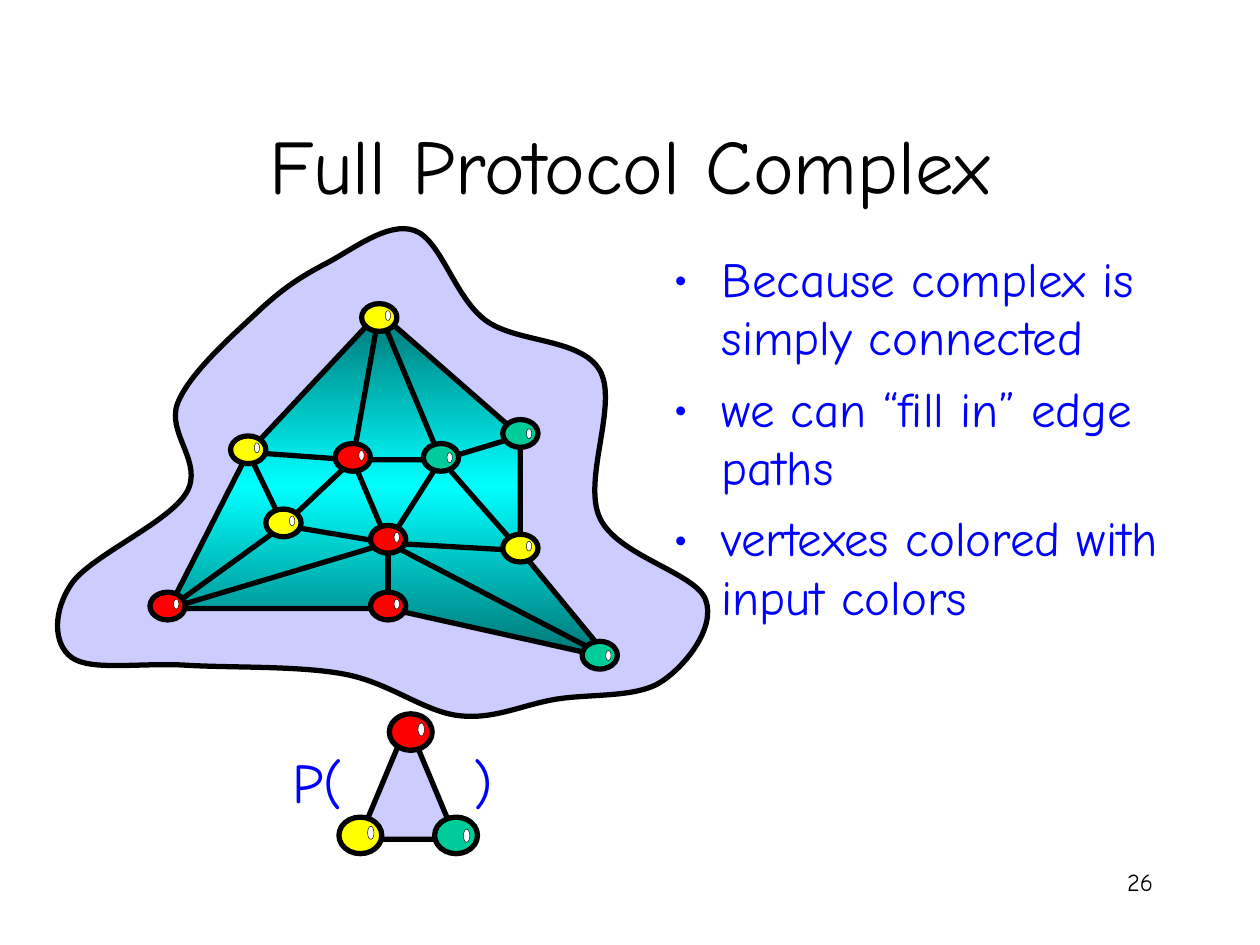
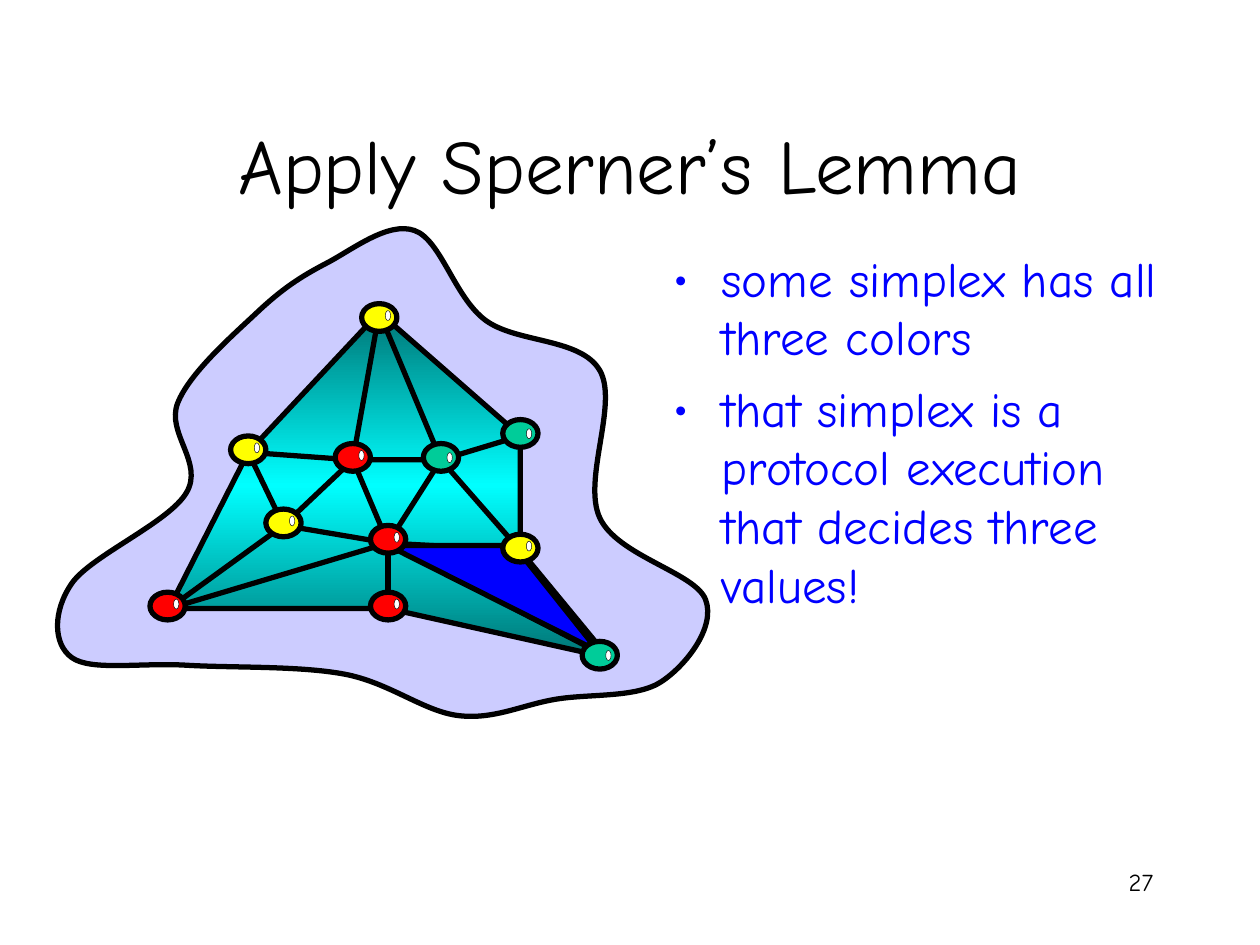
import copy

import lxml.etree
import pptx
import pptx.dml.color
import pptx.enum.shapes
import pptx.enum.text
import pptx.oxml.ns
import pptx.util

Inches = pptx.util.Inches
Pt = pptx.util.Pt
ALIGN = pptx.enum.text.PP_ALIGN
ANCHOR = pptx.enum.text.MSO_ANCHOR
SHAPE = pptx.enum.shapes.MSO_SHAPE
qn = pptx.oxml.ns.qn

FONT = "Comic Neue"
COLORS = {
    "black": "000000", "white": "FFFFFF", "blue": "0000FF",
    "lavender": "CCCCFF", "teal": "007575", "cyan": "00FFFF",
    "red": "FF0000", "yellow": "FFFF00", "green": "00CC99",
}

SLIDES = [
    {
        "title": "Full Protocol Complex",
        "points": [
            "Because complex is simply connected",
            "we can “fill in” edge paths",
            "vertexes colored with input colors",
        ],
        "number": "26",
        "input_simplex": True,
    },
    {
        "title": "Apply Sperner’s Lemma",
        "points": [
            "some simplex has all three colors",
            "that simplex is a protocol execution that decides three values!",
        ],
        "number": "27",
        "three_colored": [(3.08, 4.33), (4.75, 5.17), (4.08, 4.33)],
    },
]

# Knots of the closed smooth outline around the complex
CLOUD = [
    (2.59, 2.09), (2.04, 2.48), (1.41, 3.2), (1.48, 3.91), (0.57, 4.63),
    (0.57, 5.22), (1.48, 5.28), (2.73, 5.35), (3.64, 5.68), (4.41, 5.55),
    (5.25, 5.41), (5.6, 4.76), (4.76, 4.11), (4.76, 2.94), (3.85, 2.54),
    (3.29, 1.83),
]

# Vertex: where its edges meet, centre of its bead, colour
VERTICES = {
    "left inner": ((2.8, 3.65), (2.8, 3.63), "red"),
    "right inner": ((3.5, 3.65), (3.5, 3.63), "green"),
    "low inner": ((2.25, 4.17), (2.25, 4.15), "yellow"),
    "left": ((1.97, 3.59), (1.97, 3.57), "yellow"),
    "right": ((4.13, 3.46), (4.13, 3.44), "green"),
    "bottom": ((3.08, 4.83), (3.08, 4.81), "red"),
    "top": ((3.01, 2.48), (3.01, 2.52), "yellow"),
    "left foot": ((1.34, 4.83), (1.33, 4.81), "red"),
    "right foot": ((4.83, 5.22), (4.76, 5.2), "green"),
    "low right": ((4.13, 4.37), (4.13, 4.35), "yellow"),
    "center": ((3.08, 4.31), (3.08, 4.28), "red"),
}
RIM = ["left foot", "bottom", "right foot", "low right", "right", "top", "left"]
INNER_TRIANGLE = ["left inner", "center", "right inner"]
INNER_EDGES = {
    "left foot": ["low inner", "center"],
    "low inner": ["left", "left inner", "center"],
    "left inner": ["left", "top"],
    "right inner": ["right", "low right", "top"],
    "center": ["bottom", "right foot", "low right"],
}
INPUT_BEADS = [((3.26, 5.81), "red"), ((2.86, 6.63), "yellow"), ((3.62, 6.63), "green")]


def rgb(name):
    return pptx.dml.color.RGBColor.from_string(COLORS[name])


def style(shape, fill=None, line_width=3):
    shape.shadow.inherit = False
    if fill:
        shape.fill.solid()
        shape.fill.fore_color.rgb = rgb(fill)
    else:
        shape.fill.background()
    shape.line.color.rgb = rgb("black")
    shape.line.width = Pt(line_width)
    return shape


def add_text(shapes, box, paragraphs, size, color="black", align=ALIGN.LEFT,
             anchor=ANCHOR.TOP, bullet=None, tab=None):
    frame = shapes.add_textbox(*map(Inches, box)).text_frame
    frame.word_wrap = True
    frame.vertical_anchor = anchor
    for index, wording in enumerate(paragraphs):
        paragraph = frame.paragraphs[0] if index == 0 else frame.add_paragraph()
        paragraph.alignment = align
        properties = paragraph._p.get_or_add_pPr()
        if bullet:
            properties.set("marL", str(Inches(0.38)))
            properties.set("indent", str(-Inches(0.38)))
            lxml.etree.SubElement(properties, qn("a:buFont"), typeface=FONT)
            lxml.etree.SubElement(properties, qn("a:buChar"), char=bullet)
        if tab:
            stops = lxml.etree.SubElement(properties, qn("a:tabLst"))
            lxml.etree.SubElement(stops, qn("a:tab"), pos=str(Inches(tab)), algn="l")
        if index:
            paragraph.space_before = Pt(7)
        run = paragraph.add_run()
        run.text = wording
        run.font.name = FONT
        run.font.size = Pt(size)
        run.font.color.rgb = rgb(color)


def add_outline(shapes, points, fill=None):
    corners = [tuple(map(Inches, point)) for point in points]
    builder = shapes.build_freeform(*corners[0])
    builder.add_line_segments(corners[1:], close=True)
    return style(builder.convert_to_shape(), fill)


def add_smooth_outline(shapes, knots, fill):
    """Closed curve whose tangent at each knot is parallel to its neighbours' chord."""
    points = [knots[0]]
    for i, start in enumerate(knots):
        before = knots[i - 1]
        end, after = (knots[(i + step) % len(knots)] for step in (1, 2))
        points.append(tuple(s + (e - b) / 6 for b, s, e in zip(before, start, end)))
        points.append(tuple(e - (a - s) / 6 for s, e, a in zip(start, end, after)))
        points.append(end)
    outline = add_outline(shapes, points, fill)
    segments = list(outline._element.iter(qn("a:lnTo")))
    for first in range(0, 3 * len(knots), 3):
        curve = lxml.etree.Element(qn("a:cubicBezTo"))
        segments[first].addprevious(curve)
        for segment in segments[first:first + 3]:
            curve.append(segment[0])
    for segment in segments:
        segment.getparent().remove(segment)


def add_edge(shapes, start, end):
    edge = shapes.add_connector(pptx.enum.shapes.MSO_CONNECTOR.STRAIGHT,
                                *map(Inches, start + end))
    edge.line.color.rgb = rgb("black")
    edge.line.width = Pt(3)
    lxml.etree.SubElement(edge._element.spPr, qn("a:effectLst"))


def add_bead(shapes, center, color, width=0.28, height=0.22):
    """A coloured vertex with a small white glint, as one group."""
    parts = shapes.add_group_shape().shapes
    left, top = center[0] - width / 2, center[1] - height / 2
    glint_drop = 0.33 if color == "green" else 0.25
    glint = (left + 0.67 * width, top + glint_drop * height, 0.15 * width, 0.36 * height)
    style(parts.add_shape(SHAPE.OVAL, *map(Inches, (left, top, width, height))), color)
    style(parts.add_shape(SHAPE.OVAL, *map(Inches, glint)), "white", 0.25)


def fill_with_gradient(shape, colors):
    shape.fill.gradient()
    shape.fill.gradient_angle = 90
    stop_list = shape._element.spPr.find(".//" + qn("a:gsLst"))
    stop_list.append(copy.deepcopy(stop_list[0]))
    for index, (stop, color) in enumerate(zip(shape.fill.gradient_stops, colors)):
        stop.position = index / (len(colors) - 1)
        stop.color.rgb = rgb(color)


def add_complex(shapes, three_colored=None):
    add_smooth_outline(shapes, CLOUD, "lavender")
    surface = add_outline(shapes, [VERTICES[name][0] for name in RIM])
    fill_with_gradient(surface, ["teal", "cyan", "teal"])
    add_outline(shapes, [VERTICES[name][0] for name in INNER_TRIANGLE])
    for start, ends in INNER_EDGES.items():
        for end in ends:
            add_edge(shapes, VERTICES[start][0], VERTICES[end][0])
    if three_colored:
        add_outline(shapes, three_colored, "blue")
    for _, center, color in VERTICES.values():
        add_bead(shapes, center, color)


def add_input_simplex(shapes):
    add_text(shapes, (2.22, 5.88, 1.94, 0.64), ["P(\t)"], 32, color="blue",
             anchor=ANCHOR.MIDDLE, tab=1.44)
    triangle = map(Inches, (2.85, 5.74, 0.77, 0.92))
    style(shapes.add_shape(SHAPE.ISOSCELES_TRIANGLE, *triangle), "lavender")
    for center, color in INPUT_BEADS:
        add_bead(shapes, center, color, 0.34, 0.29)


def main():
    deck = pptx.Presentation()
    deck.slide_width, deck.slide_height = Inches(10), Inches(7.5)
    for content in SLIDES:
        shapes = deck.slides.add_slide(deck.slide_layouts[6]).shapes
        add_text(shapes, (0.75, 0.67, 8.5, 1.25), [content["title"]], 44,
                 align=ALIGN.CENTER, anchor=ANCHOR.MIDDLE)
        add_complex(shapes, content.get("three_colored"))
        if content.get("input_simplex"):
            add_input_simplex(shapes)
        add_text(shapes, (5.25, 1.92, 4.17, 4.5), content["points"], 28,
                 color="blue", bullet="•")
        add_text(shapes, (7.17, 6.83, 2.08, 0.5), [content["number"]], 14,
                 align=ALIGN.RIGHT)
    deck.save("out.pptx")


if __name__ == "__main__":
    main()
